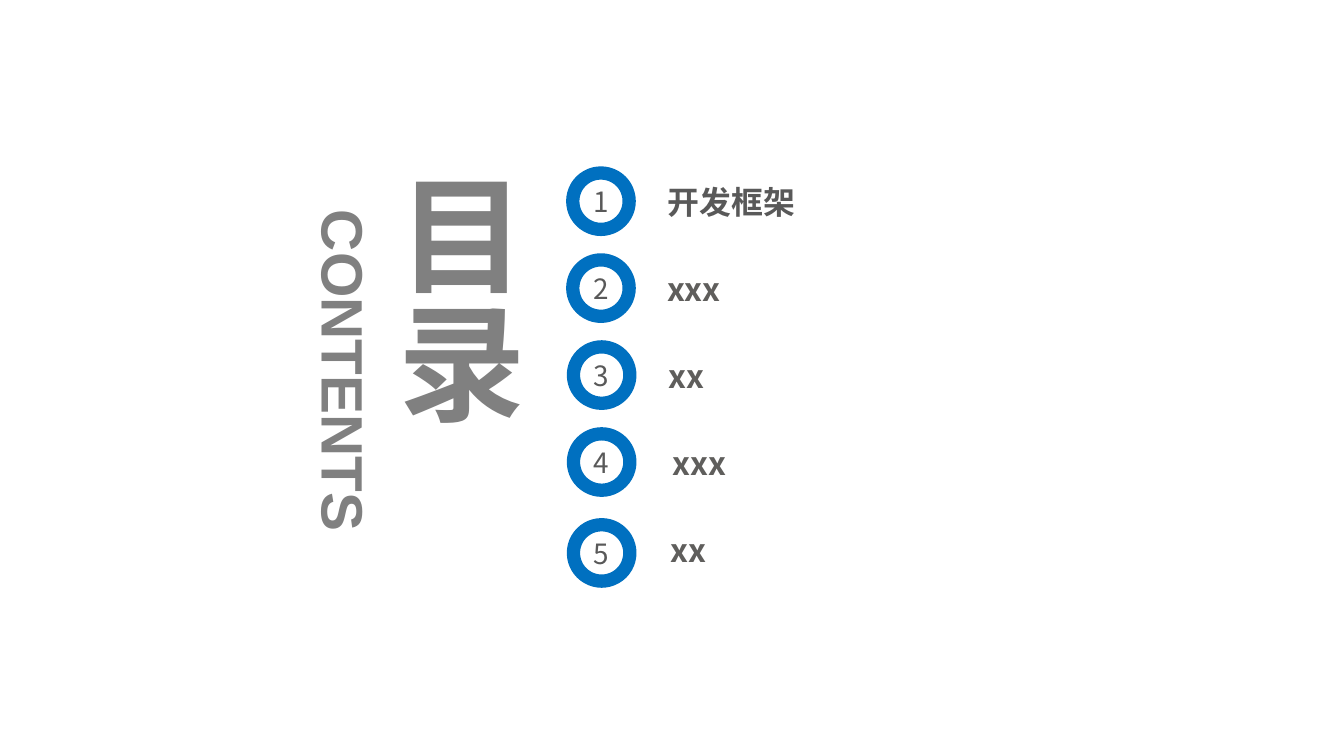
"""Build a contents slide with a vertical title and five numbered entries."""
from dataclasses import dataclass

from lxml.etree import SubElement
from pptx import Presentation
from pptx.dml.color import RGBColor as Color
from pptx.enum.shapes import MSO_SHAPE as Shape
from pptx.enum.text import MSO_ANCHOR as Anchor, PP_ALIGN as Align
from pptx.oxml.ns import qn
from pptx.util import Pt


@dataclass(frozen=True)
class Theme:
    blue: str = "0070C0"
    white: str = "FFFFFF"
    gray: str = "808080"
    dark: str = "595959"
    warm: str = "5F5E5C"
    latin: str = "Arial"
    sans: str = "Noto Sans CJK SC"
    title: int = 96
    side: int = 44
    entry: int = 24
    digit: int = 21


theme = Theme()


def write(shape, text, size, face, color, bold=True, align=Align.LEFT,
          anchor=Anchor.TOP, inset=(0, 0)):
    frame = shape.text_frame
    frame.word_wrap = True
    frame.vertical_anchor = anchor
    frame.margin_left = frame.margin_right = Pt(inset[0])
    frame.margin_top = frame.margin_bottom = Pt(inset[1])
    line = frame.paragraphs[0]
    line.alignment = align
    run = line.add_run()
    run.text = text
    font = run.font
    font.size = Pt(size)
    font.bold = bold
    font.color.rgb = Color.from_string(color)
    font.name = face
    SubElement(run._r.get_or_add_rPr(), qn("a:ea")).set("typeface", theme.sans)


deck = Presentation()
deck.slide_width = Pt(1012.5)
deck.slide_height = Pt(569.5)
slide = deck.slides.add_slide(deck.slide_layouts[6])
shapes = slide.shapes

title = shapes.add_textbox(Pt(286.5), Pt(129.5), Pt(116.5), Pt(299))
write(title, "目录", theme.title, theme.latin, theme.gray, anchor=Anchor.MIDDLE)
title.text_frame._txBody.bodyPr.set("vert", "eaVert")

side = shapes.add_textbox(Pt(129.5), Pt(252.5), Pt(260), Pt(53.5))
side.rotation = 90
write(side, "CONTENTS", theme.side, theme.latin, theme.gray, align=Align.CENTER)

top, pitch, size = 130.3, 65.5, 42.5
entries = [
    ("开发框架", theme.dark, 431.5, 0, 498.2, 281.5),
    ("xxx", theme.warm, 431.5, 0, 497.5, 173),
    ("xx", theme.warm, 432, 0, 499, 171.5),
    ("xxx", theme.warm, 432, 0, 501.8, 157),
    ("xx", theme.warm, 432, 3, 500.4, 232),
]
for row, (text, color, ring, drop, left, width) in enumerate(entries):
    y = top + row * pitch
    disc = shapes.add_shape(Shape.OVAL, Pt(ring), Pt(y + drop), Pt(size), Pt(size))
    disc.shadow.inherit = False
    disc.fill.solid()
    disc.fill.fore_color.rgb = Color.from_string(theme.white)
    disc.line.color.rgb = Color.from_string(theme.blue)
    disc.line.width = Pt(10)
    write(disc, str(row + 1), theme.digit, theme.sans, theme.dark, False,
          Align.CENTER, Anchor.MIDDLE)
    label = shapes.add_textbox(Pt(left), Pt(y + 4.2), Pt(width), Pt(34.5))
    write(label, text, theme.entry, theme.sans, color, inset=(5, 3))

deck.save("out.pptx")
